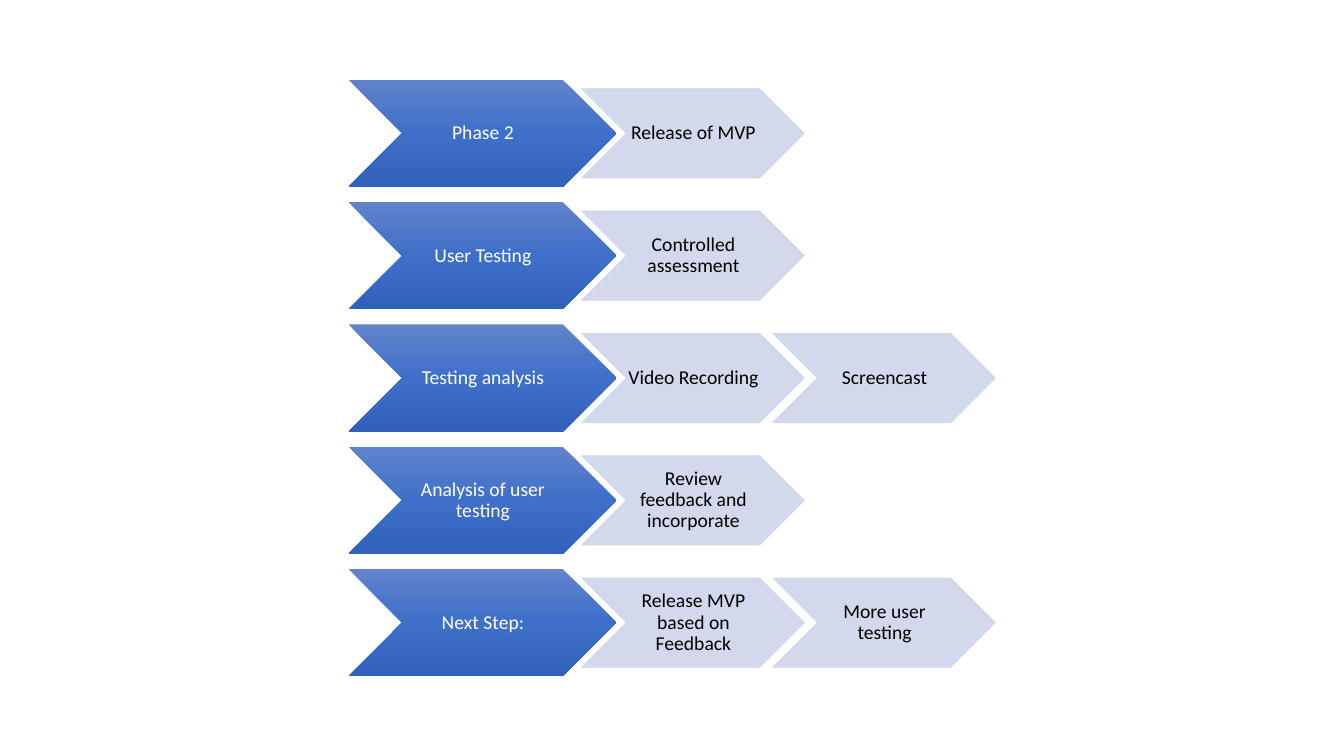
from copy import deepcopy
from dataclasses import dataclass

from lxml.etree import SubElement
from pptx import Presentation
from pptx.dml.color import RGBColor
from pptx.enum.shapes import MSO_SHAPE
from pptx.enum.text import MSO_ANCHOR, PP_ALIGN
from pptx.oxml.ns import qn
from pptx.util import Pt

SCALE = 9525  # EMU in one px, 96 px to the inch


def px(length):
    return round(length * SCALE)


@dataclass(frozen=True)
class Theme:
    font: str = "Calibri"
    text_size: float = 14
    phase_text: str = "FFFFFF"
    step_text: str = "000000"
    phase_gradient: tuple = ((0, "6183CB"), (0.5, "3E70CA"), (1, "3062BB"))
    step_fill: str = "CFD5EA"
    step_opacity: int = 90
    step_line: float = 0.5


@dataclass(frozen=True)
class Box:
    left: float
    top: float
    width: float
    height: float


THEME = Theme()
CHART = Box(332, 76, 616, 568)
PHASE_WIDTH, PHASE_HEIGHT = 255, 102
STEP_WIDTH, STEP_HEIGHT = 212, 85
FIRST_STEP = 222  # from the left edge of the row
STEP_PITCH = 182

ROWS = (
    ("Phase 2", ("Release of MVP",)),
    ("User Testing", ("Controlled assessment",)),
    ("Testing analysis", ("Video Recording", "Screencast")),
    ("Analysis of user testing", ("Review feedback and incorporate",)),
    ("Next Step:", ("Release MVP based on Feedback", "More user testing")),
)


def add_chevron(page, box, text, color):
    chevron = page.shapes.add_shape(
        MSO_SHAPE.CHEVRON, px(box.left), px(box.top), px(box.width), px(box.height))
    chevron.shadow.inherit = False
    frame = chevron.text_frame
    frame.word_wrap = True
    frame.vertical_anchor = MSO_ANCHOR.MIDDLE
    frame.margin_left = frame.margin_top = frame.margin_bottom = px(1)
    frame.margin_right = 0
    para = frame.paragraphs[0]
    para.alignment = PP_ALIGN.CENTER
    para.line_spacing = 0.9
    span = para.add_run()
    span.text = text
    span.font.name = THEME.font
    span.font.size = Pt(THEME.text_size)
    span.font.color.rgb = RGBColor.from_string(color)
    return chevron


def fill_phase(chevron):
    fill = chevron.fill
    fill.gradient()
    fill.gradient_angle = 270
    # A new gradient has two stops; add a third
    stop_list = next(chevron.element.spPr.iter(qn("a:gsLst")))
    stop_list.append(deepcopy(stop_list[0]))
    for stop, (position, color) in zip(fill.gradient_stops, THEME.phase_gradient):
        stop.position = position
        stop.color.rgb = RGBColor.from_string(color)
    chevron.line.fill.background()


def fill_step(chevron):
    chevron.line.width = Pt(THEME.step_line)
    for fill in (chevron.fill, chevron.line.fill):
        fill.solid()
        fill.fore_color.rgb = RGBColor.from_string(THEME.step_fill)
    for color in chevron.element.spPr.iter(qn("a:srgbClr")):
        SubElement(color, qn("a:alpha"), val=str(THEME.step_opacity * 1000))


def add_row(page, box, phase, steps):
    # Leading phase
    phase_box = Box(box.left, box.top, PHASE_WIDTH, box.height)
    fill_phase(add_chevron(page, phase_box, phase, THEME.phase_text))
    # Steps that follow, centred on the phase
    top = box.top + (box.height - STEP_HEIGHT) / 2
    for index, step in enumerate(steps):
        left = box.left + FIRST_STEP + index * STEP_PITCH
        step_box = Box(left, top, STEP_WIDTH, STEP_HEIGHT)
        fill_step(add_chevron(page, step_box, step, THEME.step_text))


def add_process(page, box):
    pitch = (box.height - PHASE_HEIGHT) / (len(ROWS) - 1)
    for index, (phase, steps) in enumerate(ROWS):
        row_box = Box(box.left, box.top + index * pitch, box.width, PHASE_HEIGHT)
        add_row(page, row_box, phase, steps)


def main():
    deck = Presentation()
    deck.slide_width, deck.slide_height = px(1280), px(720)
    page = deck.slides.add_slide(deck.slide_layouts[6])
    add_process(page, CHART)
    deck.save("out.pptx")


if __name__ == "__main__":
    main()
